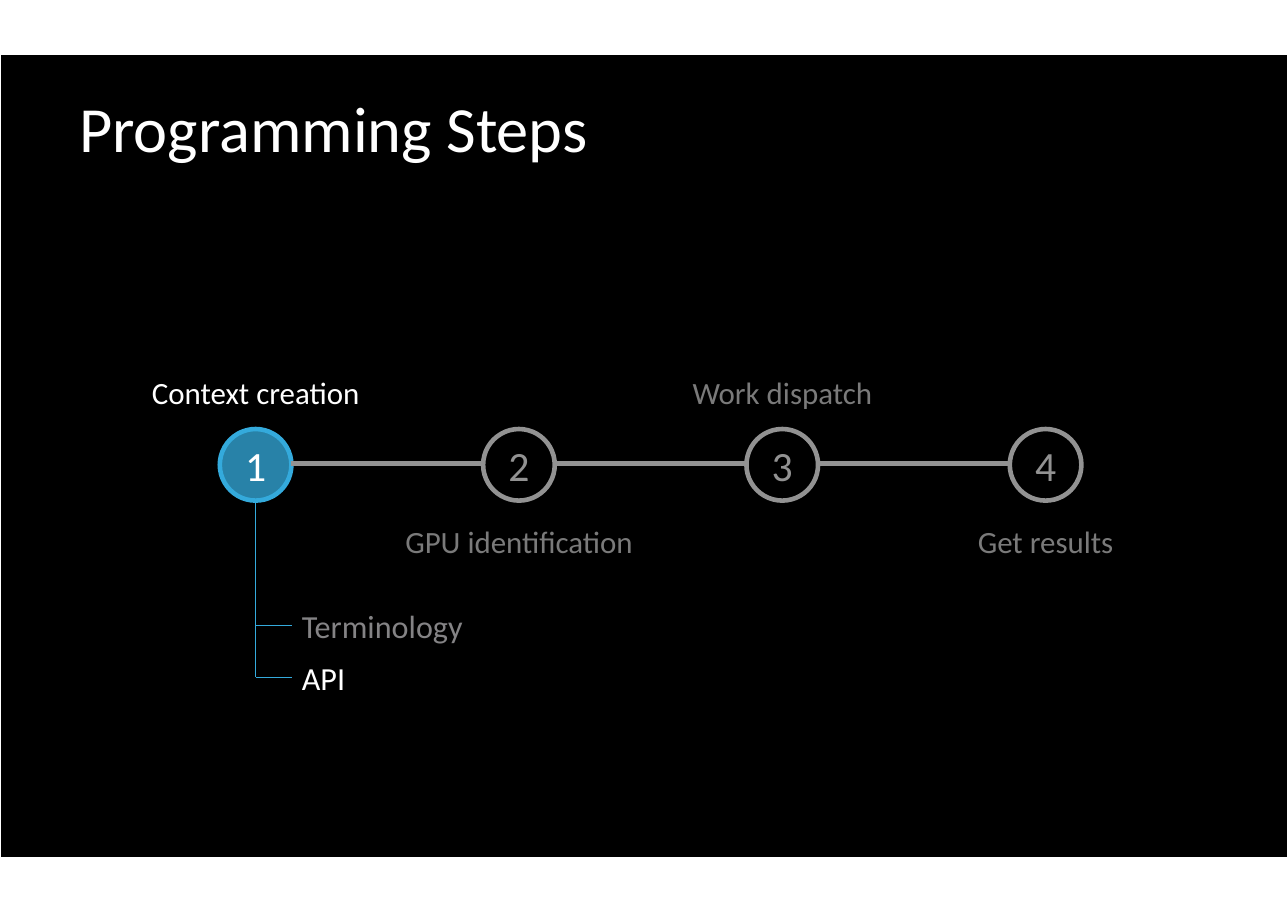
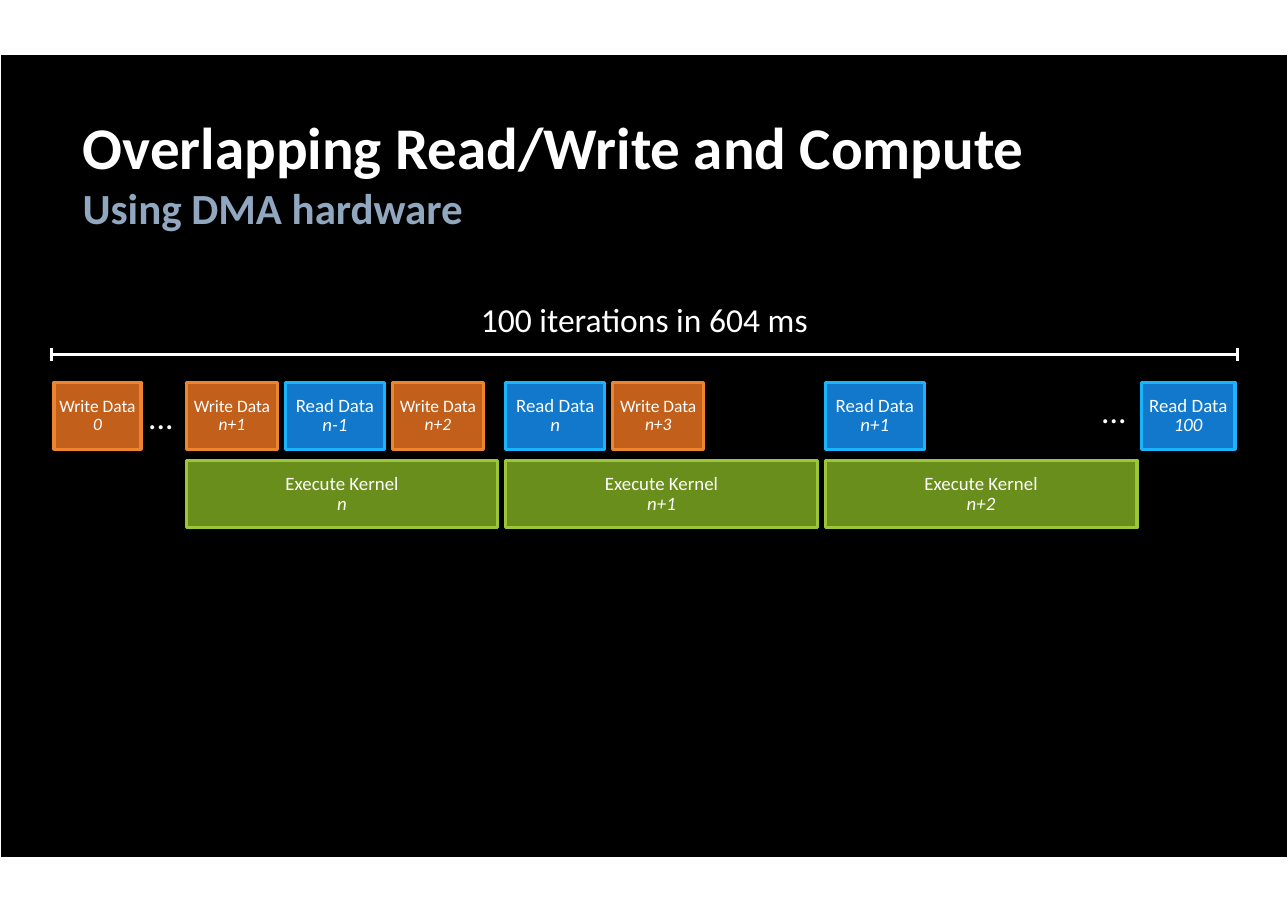
from lxml.etree import SubElement
from pptx import Presentation
from pptx.dml.color import RGBColor
from pptx.enum.shapes import MSO_CONNECTOR, MSO_SHAPE
from pptx.enum.text import MSO_ANCHOR as Anchor, PP_ALIGN as Align
from pptx.oxml.ns import qn
from pptx.util import Inches, Pt

FONT = "Calibri"
WHITE = RGBColor(0xFF, 0xFF, 0xFF)
BLACK = RGBColor(0, 0, 0)
RING_GRAY = RGBColor(0x92, 0x92, 0x92)
LABEL_GRAY = RGBColor(0x7A, 0x7A, 0x7A)
TOPIC_GRAY = RGBColor(0x84, 0x83, 0x85)
ACTIVE_BLUE = RGBColor(0x28, 0x82, 0xA8)
ACTIVE_EDGE = RGBColor(0x34, 0xAA, 0xDC)
SUBTITLE_BLUE = RGBColor(0x90, 0xA7, 0xBF)

# Timeline block styles: caption, fill, edge, text size, line spacing
WRITE = ("Write Data", RGBColor(0xC1, 0x5F, 0x1B), RGBColor(0xEC, 0x84, 0x30), 11.4, 12)
READ = ("Read Data", RGBColor(0x11, 0x78, 0xCC), RGBColor(0x19, 0xB4, 0xFC), 12.3, 13)
KERNEL = ("Execute Kernel", RGBColor(0x6A, 0x8E, 0x1C), RGBColor(0x9B, 0xC6, 0x3A), 12.3, 13)


# Shared elements
def style_frame(frame, align):
    frame.margin_left = frame.margin_right = 0
    frame.margin_top = frame.margin_bottom = 0
    frame.word_wrap = True
    frame.vertical_anchor = Anchor.MIDDLE
    for paragraph in frame.paragraphs:
        paragraph.alignment = align


def style_font(font, size, color, bold=False, italic=False):
    font.name = FONT
    font.size = Pt(size)
    font.color.rgb = color
    font.bold = bold
    font.italic = italic


def add_label(slide, text, x, middle, size, color=WHITE, align=Align.CENTER,
              width=4, bold=False):
    """Place one line of text; x is its centre, or its left edge if left aligned."""
    left = x - width / 2 if align == Align.CENTER else x
    height = 0.7
    label = slide.shapes.add_textbox(Inches(left), Inches(middle - height / 2),
                                     Inches(width), Inches(height))
    label.text_frame.text = text
    style_frame(label.text_frame, align)
    style_font(label.text_frame.paragraphs[0].runs[0].font, size, color, bold)


def add_title(slide, text, left, middle, size, color=WHITE, bold=False):
    add_label(slide, text, left, middle, size, color, Align.LEFT, 10.5, bold)


def add_line(slide, x1, y1, x2, y2, color, weight):
    line = slide.shapes.add_connector(MSO_CONNECTOR.STRAIGHT, Inches(x1), Inches(y1),
                                      Inches(x2), Inches(y2))
    line.line.color.rgb = color
    line.line.width = Pt(weight)
    SubElement(line._element.spPr, qn("a:effectLst"))


def add_filled(slide, preset, left, top, width, height, fill, edge=None, weight=0):
    shape = slide.shapes.add_shape(preset, Inches(left), Inches(top),
                                   Inches(width), Inches(height))
    shape.shadow.inherit = False
    shape.fill.solid()
    shape.fill.fore_color.rgb = fill
    if edge is None:
        shape.line.fill.background()
    else:
        shape.line.color.rgb = edge
        shape.line.width = Pt(weight)
    return shape


def new_slide(deck):
    slide = deck.slides.add_slide(deck.slide_layouts[6])
    add_filled(slide, MSO_SHAPE.RECTANGLE, 0.01, 0.5, 11.67, 7.28, BLACK)
    return slide


# Elements of the step track
def add_step(slide, number, center, middle, diameter, active):
    fill, edge, color = ((ACTIVE_BLUE, ACTIVE_EDGE, WHITE) if active
                         else (BLACK, RING_GRAY, RING_GRAY))
    step = add_filled(slide, MSO_SHAPE.OVAL, center - diameter / 2,
                      middle - diameter / 2, diameter, diameter, fill, edge, 3)
    step.text_frame.text = str(number)
    style_frame(step.text_frame, Align.CENTER)
    style_font(step.text_frame.paragraphs[0].runs[0].font, 27.2, color)


# Elements of the timeline
def add_block(slide, style, index, left, top, width):
    caption, fill, edge, size, spacing = style
    block = add_filled(slide, MSO_SHAPE.RECTANGLE, left, top, width, 0.61, fill, edge, 2)
    block.text_frame.text = f"{caption}\n{index}"
    style_frame(block.text_frame, Align.CENTER)
    for line, paragraph in enumerate(block.text_frame.paragraphs):
        paragraph.line_spacing = Pt(spacing)
        style_font(paragraph.runs[0].font, size, WHITE, italic=line == 1)


def add_span(slide, left, right, middle, caption):
    add_line(slide, left, middle, right, middle, WHITE, 2)
    for end in (left, right):
        add_line(slide, end, middle - 0.06, end, middle + 0.06, WHITE, 2)
    add_label(slide, caption, (left + right) / 2, 2.9, 21.9)


# Slides
def build_steps(deck):
    slide = new_slide(deck)
    add_title(slide, "Programming Steps", 0.72, 1.15, 42.1)

    first, pitch, middle, diameter = 2.32, 2.39, 4.22, 0.65
    radius = diameter / 2
    steps = ["Context creation", "GPU identification", "Work dispatch", "Get results"]
    for i, name in enumerate(steps):
        center = first + i * pitch
        active = i == 0
        if not active:
            add_line(slide, center - pitch + radius, 4.21, center - radius, 4.21,
                     RING_GRAY, 3)
        add_step(slide, i + 1, center, middle, diameter, active)
        add_label(slide, name, center, 3.56 if i % 2 == 0 else 4.91, 20.2,
                  WHITE if active else LABEL_GRAY)

    # Topics branching off the first step
    topics = [("Terminology", 5.68, TOPIC_GRAY), ("API", 6.15, WHITE)]
    add_line(slide, first, middle + radius, first, topics[-1][1], ACTIVE_EDGE, 1)
    for topic, level, color in topics:
        add_line(slide, first, level, 2.65, level, ACTIVE_EDGE, 1)
        add_label(slide, topic, 2.74, level, 21, color, Align.LEFT)


def build_overlap(deck):
    slide = new_slide(deck)
    add_title(slide, "Overlapping Read/Write and Compute", 0.75, 1.32, 38.6, bold=True)
    add_title(slide, "Using DMA hardware", 0.75, 1.88, 28.1, SUBTITLE_BLUE, bold=True)
    add_span(slide, 0.47, 11.23, 3.22, "100 iterations in 604 ms")

    # Each kernel run overlaps the transfers that start with it
    transfer_top, kernel_top, gap = 3.47, 4.18, 0.07
    kernel_width = 2.83
    widths = {WRITE: 0.83, READ: 0.9}
    runs = [
        ("n", [(WRITE, "n+1"), (READ, "n-1"), (WRITE, "n+2")]),
        ("n+1", [(READ, "n"), (WRITE, "n+3")]),
        ("n+2", [(READ, "n+1")]),
    ]
    for i, (kernel, transfers) in enumerate(runs):
        left = 1.69 + i * (kernel_width + gap)
        add_block(slide, KERNEL, kernel, left, kernel_top, kernel_width)
        for style, index in transfers:
            add_block(slide, style, index, left, transfer_top, widths[style])
            left += widths[style] + gap

    # First and last transfer, with the skipped ones between
    add_block(slide, WRITE, "0", 0.49, transfer_top, 0.79)
    add_block(slide, READ, "100", 10.36, transfer_top, 0.85)
    for center, level in ((1.46, 3.78), (10.11, 3.72)):
        add_label(slide, "...", center, level, 21.9, width=0.4)


def main():
    deck = Presentation()
    deck.slide_width, deck.slide_height = Inches(11.69), Inches(8.27)
    build_steps(deck)
    build_overlap(deck)
    deck.save("out.pptx")


if __name__ == "__main__":
    main()
